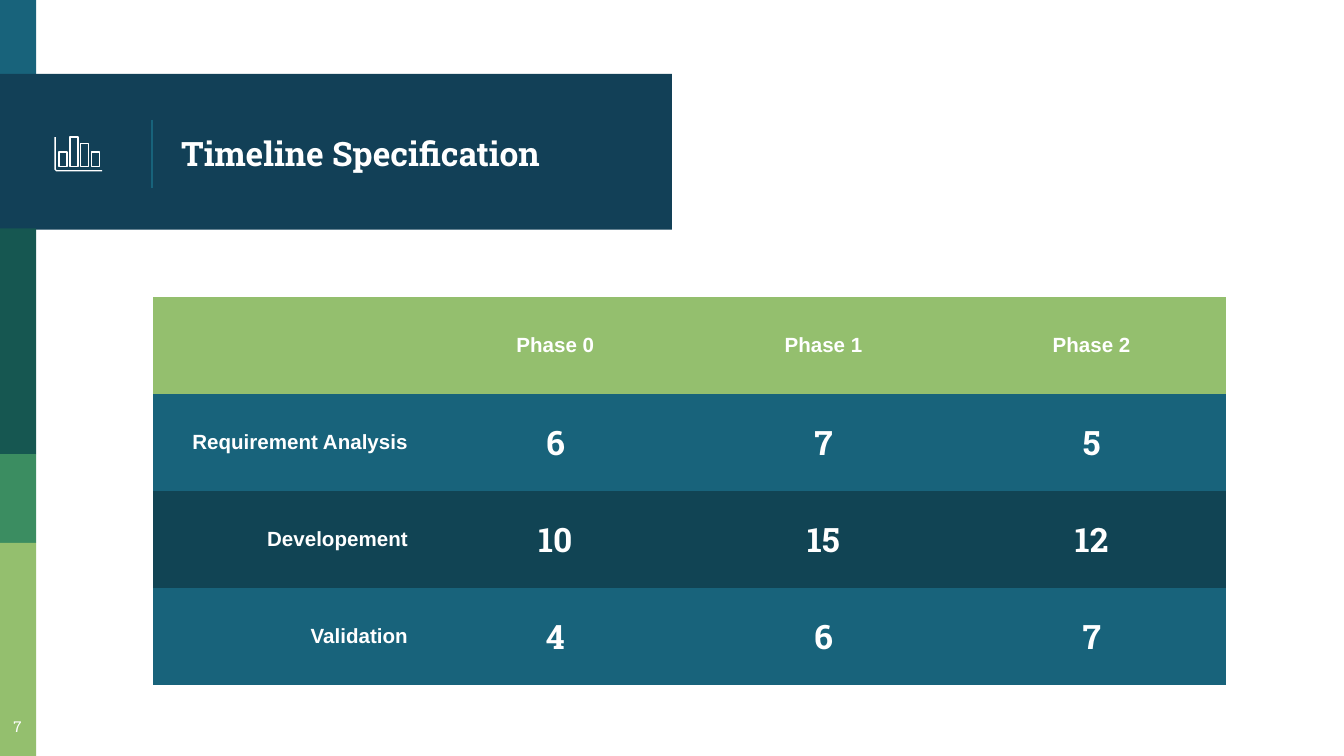
import pptx
import pptx.dml.color
import pptx.enum.shapes
import pptx.enum.text
import pptx.oxml
import pptx.oxml.ns
import pptx.util

Inches = pptx.util.Inches
RGBColor = pptx.dml.color.RGBColor
ALIGN = pptx.enum.text.PP_ALIGN
MIDDLE = pptx.enum.text.MSO_ANCHOR.MIDDLE

WHITE = RGBColor(0xFF, 0xFF, 0xFF)
BLUE = RGBColor(0x18, 0x63, 0x7B)
NAVY = RGBColor(0x12, 0x40, 0x57)
DARK_ROW = RGBColor(0x11, 0x44, 0x54)
DEEP_GREEN = RGBColor(0x16, 0x57, 0x51)
GREEN = RGBColor(0x3B, 0x8D, 0x61)
LIME = RGBColor(0x94, 0xBF, 0x6E)

HEADING_FONT = "Roboto Slab"
BODY_FONT = "Arial"
PLAIN_TABLE_STYLE = "{2D5ABB26-0587-4C30-8999-92F81FD0307C}"

BANDS = [
    (0, 0, 0.27, 0.58, BLUE),
    (0, 0.55, 5, 1.16, NAVY),
    (0, 1.7, 0.27, 1.68, DEEP_GREEN),
    (0, 3.38, 0.27, 0.66, GREEN),
    (0, 4.04, 0.27, 1.59, LIME),
]
TIMELINE = [
    ("", "Phase 0", "Phase 1", "Phase 2"),
    ("Requirement Analysis", "6", "7", "5"),
    ("Developement", "10", "15", "12"),
    ("Validation", "4", "6", "7"),
]
ROW_COLORS = [LIME, BLUE, DARK_ROW, BLUE]
ICON_BAR_TOPS = [1.13, 1.02, 1.07, 1.13]


def write_text(frame, text, size, font=HEADING_FONT, bold=False, align=ALIGN.LEFT):
    paragraph = frame.paragraphs[0]
    paragraph.alignment = align
    run = paragraph.add_run()
    run.text = text
    run.font.size = pptx.util.Pt(size)
    run.font.name = font
    run.font.bold = bold
    run.font.color.rgb = WHITE


def add_label(slide, left, top, width, height, text, anchor=None, **text_format):
    label = slide.shapes.add_textbox(
        Inches(left), Inches(top), Inches(width), Inches(height))
    frame = label.text_frame
    frame.word_wrap = True
    frame.vertical_anchor = anchor
    frame.margin_left = frame.margin_right = Inches(0.1)
    frame.margin_top = frame.margin_bottom = Inches(0.1)
    write_text(frame, text, **text_format)


def add_band(slide, left, top, width, height, color):
    band = slide.shapes.add_shape(
        pptx.enum.shapes.MSO_SHAPE.RECTANGLE,
        Inches(left), Inches(top), Inches(width), Inches(height))
    band.fill.solid()
    band.fill.fore_color.rgb = color
    band.line.fill.background()
    band.shadow.inherit = False


def add_divider(slide, x, top, bottom):
    divider = slide.shapes.add_connector(
        pptx.enum.shapes.MSO_CONNECTOR.STRAIGHT,
        Inches(x), Inches(top), Inches(x), Inches(bottom))
    divider.line.color.rgb = BLUE
    divider.line.width = pptx.util.Pt(0.75)
    properties = divider.element.find(pptx.oxml.ns.qn("p:spPr"))
    properties.append(pptx.oxml.parse_xml(
        f"<a:effectLst {pptx.oxml.ns.nsdecls('a')}/>"))


def add_outline(icon, points, close):
    builder = icon.shapes.build_freeform(
        *map(Inches, points[0]), scale=1.0)
    builder.add_line_segments(
        [(Inches(x), Inches(y)) for x, y in points[1:]], close=close)
    outline = builder.convert_to_shape()
    outline.fill.background()
    outline.line.color.rgb = WHITE
    outline.line.width = pptx.util.Pt(0.75)
    outline.shadow.inherit = False


def add_chart_icon(slide):
    icon = slide.shapes.add_group_shape()
    add_outline(icon, [(0.41, 1.02), (0.41, 1.26), (0.42, 1.27), (0.76, 1.27)], False)
    base, bar_width = 1.24, 0.06
    for index, top in enumerate(ICON_BAR_TOPS):
        left = 0.44 + 0.08 * index
        right = left + bar_width
        add_outline(icon, [(right, base), (right, top), (left, top), (left, base)], True)


def add_timeline_table(slide):
    frame = slide.shapes.add_table(
        len(TIMELINE), len(TIMELINE[0]),
        Inches(1.14), Inches(2.21), Inches(7.98), Inches(2.89))
    table = frame.table
    style = table._tbl.tblPr.find(pptx.oxml.ns.qn("a:tableStyleId"))
    style.text = PLAIN_TABLE_STYLE
    for row, (values, color) in enumerate(zip(TIMELINE, ROW_COLORS)):
        for column, value in enumerate(values):
            cell = table.cell(row, column)
            cell.fill.solid()
            cell.fill.fore_color.rgb = color
            cell.vertical_anchor = MIDDLE
            cell.margin_left = cell.margin_right = Inches(0.1)
            cell.margin_top = cell.margin_bottom = Inches(0.07)
            if not value:
                continue
            is_heading = row == 0 or column == 0
            write_text(
                cell.text_frame, value, bold=True,
                size=11 if is_heading else 18,
                font=BODY_FONT if is_heading else HEADING_FONT,
                align=ALIGN.RIGHT if column == 0 else ALIGN.CENTER)


def main():
    deck = pptx.Presentation()
    deck.slide_width = Inches(10)
    deck.slide_height = deck.slide_width * 9 // 16
    slide = deck.slides.add_slide(deck.slide_layouts[6])
    for band in BANDS:
        add_band(slide, *band)
    add_divider(slide, 1.13, 0.89, 1.4)
    add_label(slide, 1.25, 0.58, 3.51, 1.12, "Timeline Specification",
              anchor=MIDDLE, size=18, bold=True)
    add_timeline_table(slide)
    add_chart_icon(slide)
    add_label(slide, -0.06, 5.27, 0.38, 0.35, "7", size=8, align=ALIGN.CENTER)
    deck.save("out.pptx")


if __name__ == "__main__":
    main()
